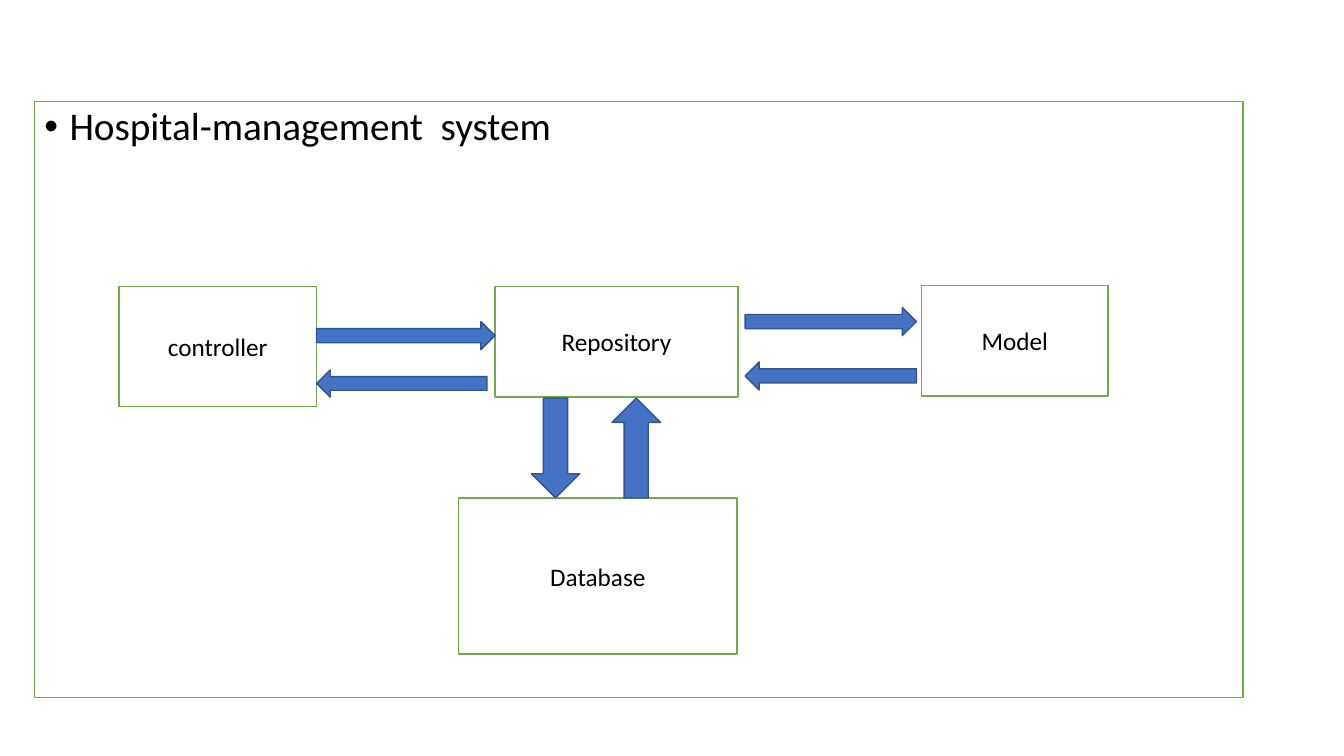
from dataclasses import dataclass

from lxml.etree import SubElement
from pptx import Presentation
from pptx.dml.color import RGBColor
from pptx.enum.shapes import MSO_SHAPE as Preset
from pptx.enum.text import MSO_ANCHOR, MSO_AUTO_SIZE, PP_ALIGN
from pptx.oxml.ns import qn
from pptx.util import Inches, Pt


@dataclass(frozen=True)
class Theme:
    font: str = "Calibri"
    heading_size: int = 28
    label_size: int = 18
    line_width: int = 1
    text: str = "000000"
    box_fill: str = "FFFFFF"
    box_line: str = "70AD47"
    arrow_fill: str = "4472C4"
    arrow_line: str = "325491"


theme = Theme()


def paint(shape, fill, line):
    shape.fill.solid()
    shape.fill.fore_color.rgb = RGBColor.from_string(fill)
    shape.line.color.rgb = RGBColor.from_string(line)
    shape.line.width = Pt(theme.line_width)


def write(paragraph, text, size):
    run = paragraph.add_run()
    run.text = text
    run.font.name = theme.font
    run.font.size = Pt(size)
    run.font.color.rgb = RGBColor.from_string(theme.text)


presentation = Presentation()
presentation.slide_width = Inches(13.33)
presentation.slide_height = Inches(7.5)
slide = presentation.slides.add_slide(presentation.slide_layouts[1])

# The slide has a body but no title
title = slide.shapes.title.element
title.getparent().remove(title)

# Framed body with its bullet
body = slide.placeholders[1]
body.left, body.top = Inches(0.34), Inches(1.01)
body.width, body.height = Inches(11.99), Inches(5.91)
paint(body, theme.box_fill, theme.box_line)
body.text_frame.auto_size = MSO_AUTO_SIZE.NONE
heading = body.text_frame.paragraphs[0]
heading.line_spacing = 0.9
heading.space_before = Pt(10)
write(heading, "Hospital-management  system", theme.heading_size)
properties = heading._p.get_or_add_pPr()
properties.set("marL", str(Inches(0.25)))
properties.set("indent", str(-Inches(0.25)))
SubElement(properties, qn("a:buFont"), typeface="Arial")
SubElement(properties, qn("a:buChar"), char="•")

# Components: label, left, top, width, height
components = [
    ("controller", 1.18, 2.84, 1.96, 1.19),
    ("Repository", 4.91, 2.84, 2.41, 1.1),
    ("Model", 9.14, 2.83, 1.85, 1.1),
    ("Database", 4.55, 4.94, 2.76, 1.55),
]
for label, *bounds in components:
    box = slide.shapes.add_shape(Preset.RECTANGLE, *map(Inches, bounds))
    box.shadow.inherit = False
    paint(box, theme.box_fill, theme.box_line)
    frame = box.text_frame
    frame.word_wrap = True
    frame.vertical_anchor = MSO_ANCHOR.MIDDLE
    frame.paragraphs[0].alignment = PP_ALIGN.CENTER
    write(frame.paragraphs[0], label, theme.label_size)

# Arrows between components: preset, left, top, width, height
arrows = [
    (Preset.RIGHT_ARROW, 3.14, 3.19, 1.77, 0.28),
    (Preset.LEFT_ARROW, 3.14, 3.67, 1.69, 0.27),
    (Preset.RIGHT_ARROW, 7.39, 3.05, 1.7, 0.28),
    (Preset.LEFT_ARROW, 7.39, 3.59, 1.7, 0.28),
    (Preset.DOWN_ARROW, 5.27, 3.95, 0.48, 0.99),
    (Preset.UP_ARROW, 6.07, 3.95, 0.48, 0.99),
]
for preset, *bounds in arrows:
    arrow = slide.shapes.add_shape(preset, *map(Inches, bounds))
    arrow.shadow.inherit = False
    paint(arrow, theme.arrow_fill, theme.arrow_line)

presentation.save("out.pptx")
